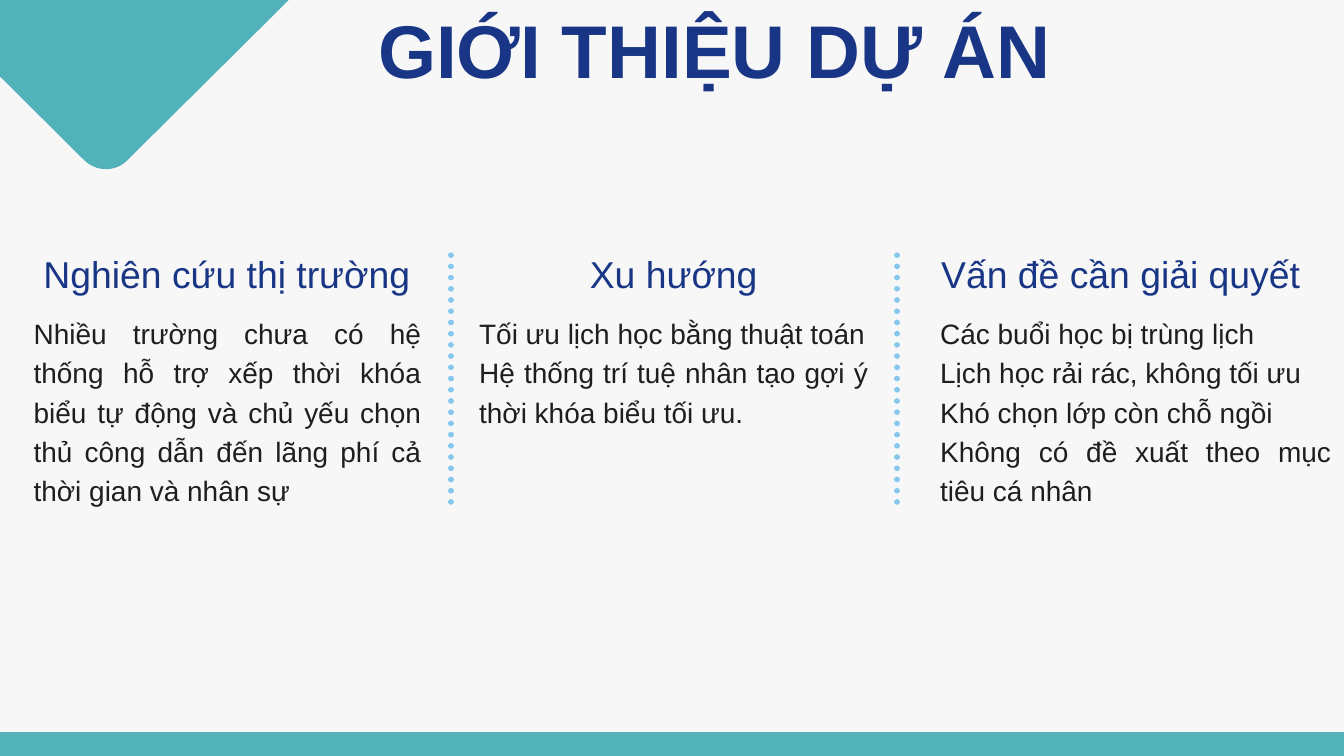
from lxml import etree
from pptx import Presentation
from pptx.dml.color import RGBColor as RGB
from pptx.enum.dml import MSO_LINE as Dash
from pptx.enum.shapes import MSO_CONNECTOR as Conn
from pptx.enum.text import MSO_ANCHOR as Anchor, MSO_AUTO_SIZE as Auto, PP_ALIGN as Align
from pptx.oxml.ns import qn
from pptx.util import Inches, Pt

TEAL = RGB(0x51, 0xB2, 0xBA)
NAVY = RGB(0x18, 0x36, 0x85)
INK = RGB(0x1E, 0x1E, 0x1E)
SKY = RGB(0x86, 0xC7, 0xED)
PAPER = RGB(0xF7, 0xF7, 0xF7)

prs = Presentation()
prs.slide_width, prs.slide_height = Inches(20), Inches(11.25)
slide = prs.slides.add_slide(prs.slide_layouts[5])
slide.background.fill.solid()
slide.background.fill.fore_color.rgb = PAPER
shapes = slide.shapes


def write(lines, at, size, lead, color=NAVY, align=Align.CENTER, bold=False, box=None):
    spot = [Inches(n) for n in at]
    if box is None:
        box = shapes.add_textbox(*spot)
    box.left, box.top, box.width, box.height = spot
    frame = box.text_frame
    frame.margin_left = frame.margin_top = frame.margin_right = frame.margin_bottom = 0
    frame.word_wrap = True
    frame.auto_size = Auto.NONE
    frame.vertical_anchor = Anchor.TOP
    frame.text = "\n".join(lines)
    for para in frame.paragraphs:
        para.alignment = align
        para.line_spacing = Pt(lead)
        para.space_before = para.space_after = Pt(0)
        font = para.runs[0].font
        font.name, font.size, font.bold = "Arial", Pt(size), bold
        font.color.rgb = color


def curve(a, b, c, d, steps=12):
    spots = []
    for i in range(1, steps + 1):
        t = i / steps
        u = 1 - t
        spots.append(tuple(
            u**3 * p + 3 * u * u * t * q + 3 * u * t * t * r + t**3 * s
            for p, q, r, s in zip(a, b, c, d)))
    return spots


wedge = [(1.89, 2.39), (11.54, -7.19)]
wedge += curve(wedge[-1], (11.59, -7.24), (11.6, -7.32), (11.58, -7.39))
wedge += curve(wedge[-1], (11.55, -7.46), (11.48, -7.5), (11.41, -7.5))
wedge += [(-8.25, -7.5)]
wedge += curve(wedge[-1], (-8.32, -7.5), (-8.39, -7.46), (-8.42, -7.39))
wedge += curve(wedge[-1], (-8.45, -7.32), (-8.43, -7.24), (-8.38, -7.19))
wedge += [(1.26, 2.39)]
wedge += curve(wedge[-1], (1.44, 2.56), (1.72, 2.56), (1.89, 2.39))
band = [(-1.13, 10.9), (22.4, 10.9), (22.4, 12.39), (-1.13, 12.39)]

for points in (wedge, band):
    first, *rest = [(Inches(x), Inches(y)) for x, y in points]
    pen = shapes.build_freeform(*first)
    pen.add_line_segments(rest, close=True)
    form = pen.convert_to_shape()
    form.shadow.inherit = False
    form.fill.solid()
    form.fill.fore_color.rgb = TEAL
    form.line.fill.background()

write(["GIỚI THIỆU DỰ ÁN"], (4.08, 0.39, 13.12, 1.09), 80, 72,
      bold=True, box=shapes.title)

columns = [
    (0.24, 0.5, 5.77, "Nghiên cứu thị trường", [
        "Nhiều trường chưa có hệ thống hỗ trợ xếp thời khóa biểu tự động "
        "và chủ yếu chọn thủ công dẫn đến lãng phí cả thời gian và nhân sự"]),
    (6.89, 7.13, 5.79, "Xu hướng", [
        "Tối ưu lịch học bằng thuật toán",
        "Hệ thống trí tuệ nhân tạo gợi ý thời khóa biểu tối ưu."]),
    (13.54, 13.99, 5.82, "Vấn đề cần giải quyết", [
        "Các buổi học bị trùng lịch",
        "Lịch học rải rác, không tối ưu",
        "Khó chọn lớp còn chỗ ngồi",
        "Không có đề xuất theo mục tiêu cá nhân"]),
]
for left, inner, width, head, lines in columns:
    write([head], (left, 3.91, 6.27, 0.52), 40, 36)
    write(lines, (inner, 4.63, width, 2.84), 30, 42, color=INK, align=Align.JUSTIFY)

for x in (6.71, 13.35):
    rule = shapes.add_connector(
        Conn.STRAIGHT, Inches(x), Inches(7.47), Inches(x), Inches(3.78))
    rule.line.color.rgb = SKY
    rule.line.width = Pt(6)
    rule.line.dash_style = Dash.ROUND_DOT
    rule.line._get_or_add_ln().set("cap", "rnd")
    etree.SubElement(rule._element.spPr, qn("a:effectLst"))

prs.save("out.pptx")
